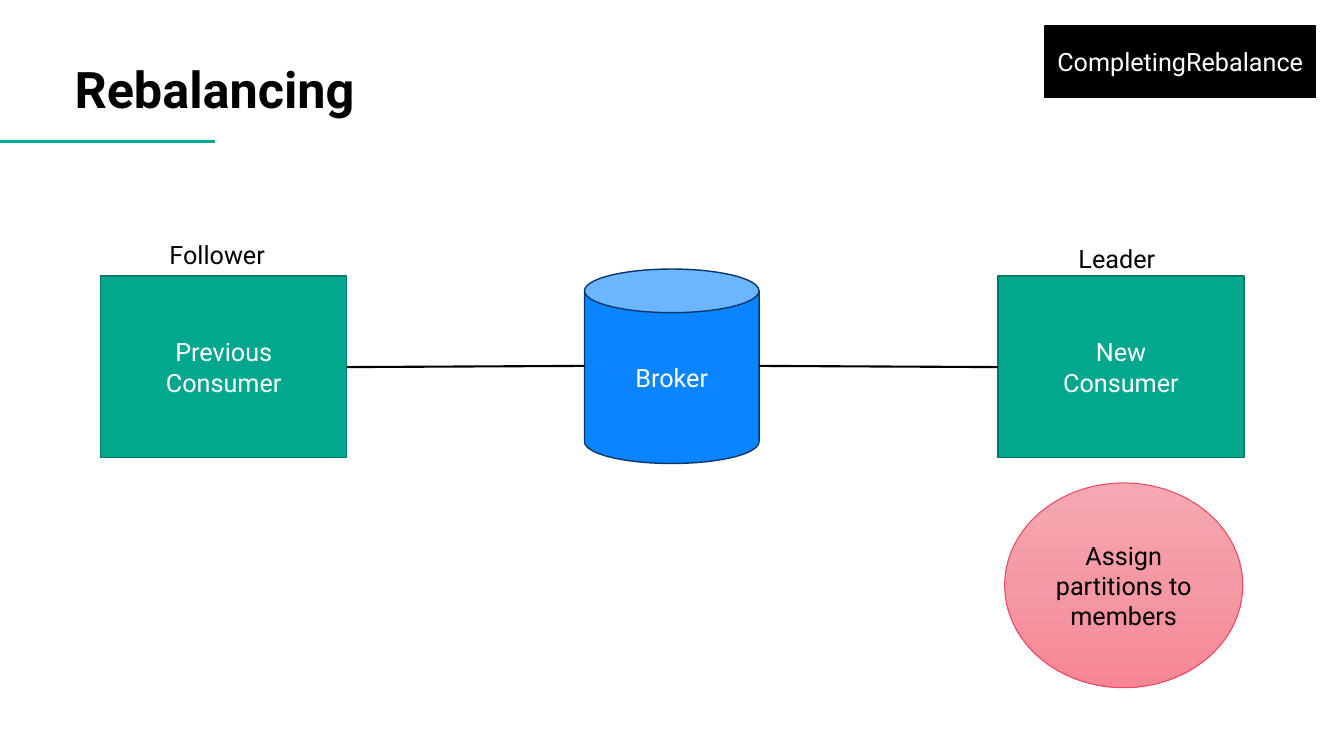
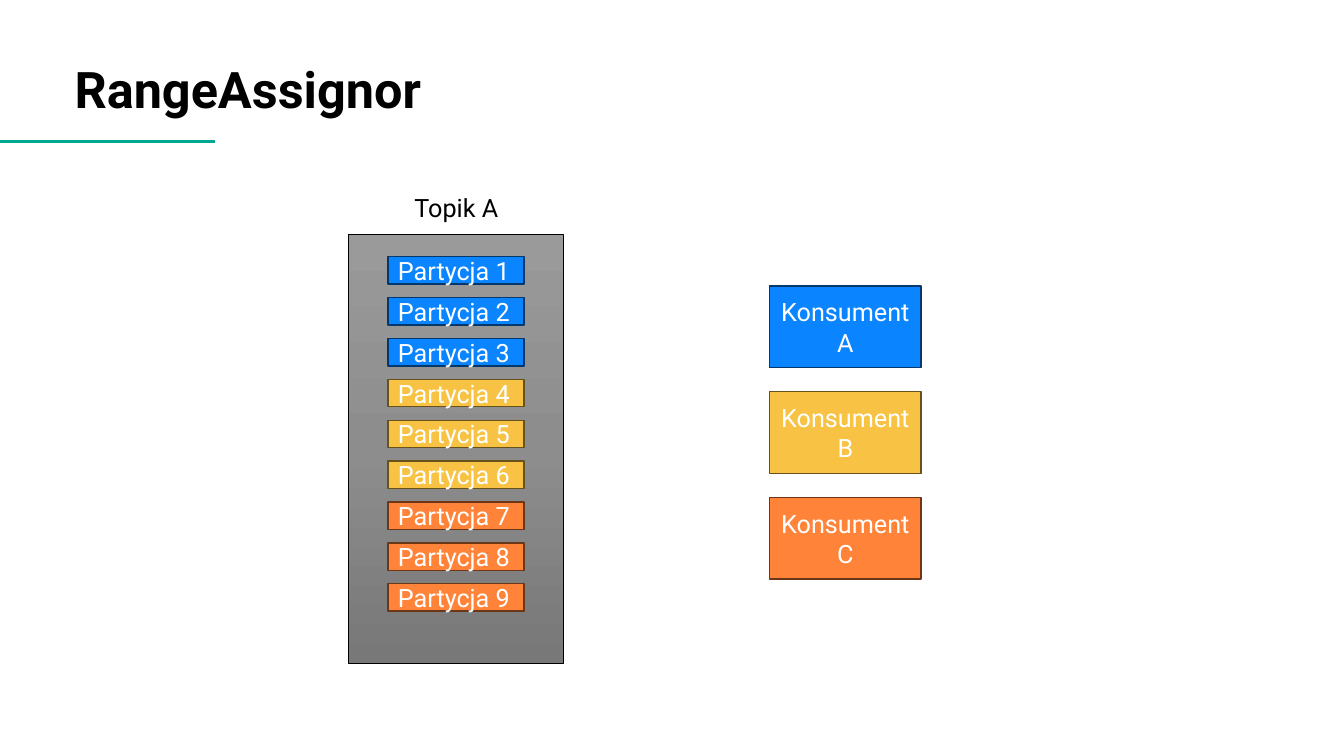
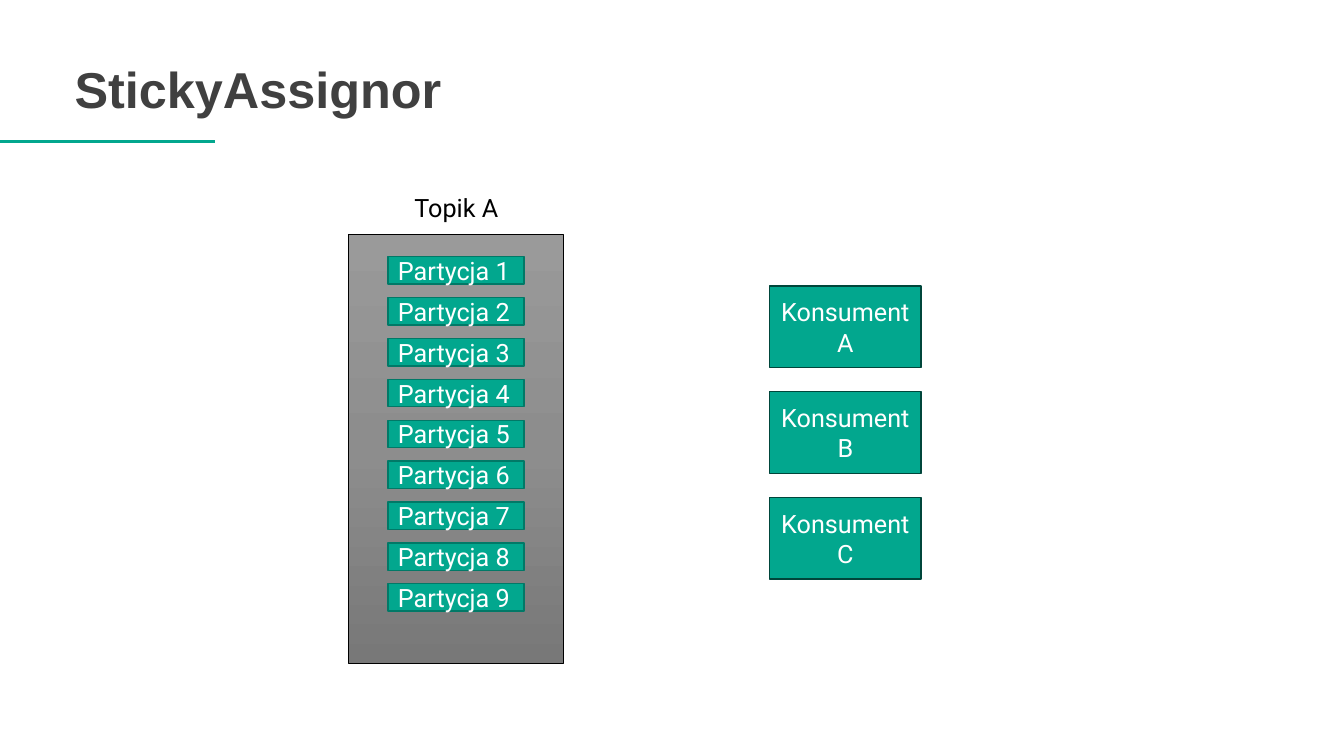
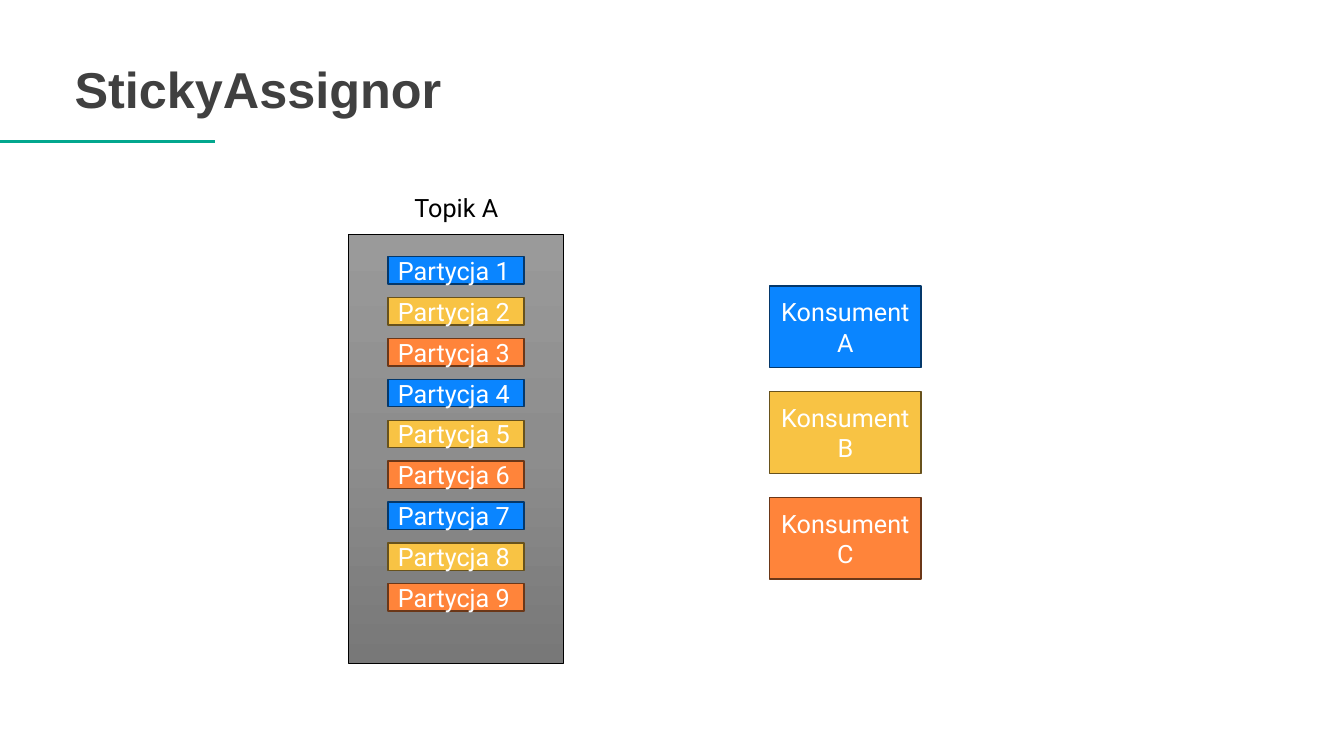
from dataclasses import dataclass

from lxml import etree
from pptx import Presentation
from pptx import util as u
from pptx.dml.color import RGBColor
from pptx.enum import shapes, text
from pptx.oxml.ns import qn

Shape = shapes.MSO_SHAPE
Align = text.PP_ALIGN
Anchor = text.MSO_ANCHOR


@dataclass(frozen=True)
class Theme:
    font: str = "Roboto"
    alt_font: str = "Arial"
    title_size: int = 36
    body_size: int = 18
    black: str = "000000"
    white: str = "FFFFFF"
    dark_gray: str = "404040"
    accent: str = "02A78E"
    green: tuple = ("02A78E", "017967")
    deep_green: tuple = ("02A78E", "00463B")
    blue: tuple = ("0A85FF", "04386B")
    yellow: tuple = ("F8C344", "68521C")
    orange: tuple = ("FF843A", "6B3718")
    solid_black: tuple = ("000000", "000000")
    gray_fade: tuple = (("9A9A9A", "8D8D8D", "787878"), "000000")
    pink_fade: tuple = (("F6A8B2", "F499A4", "F78695"), "ED4563")


class Deck:
    def __init__(self, theme):
        self.theme = theme
        self.prs = Presentation()
        self.prs.slide_width = u.Cm(33.87)
        self.prs.slide_height = u.Cm(19.05)
        self.slide = None

    def new_slide(self, title, font=None, color=None):
        th = self.theme
        self.slide = self.prs.slides.add_slide(self.prs.slide_layouts[5])
        sp = self.slide.shapes.title
        sp.left, sp.top, sp.width, sp.height = (u.Cm(v) for v in (1.88, 0, 30.07, 3.12))
        self.set_text(sp.text_frame, [title], color or th.black, Align.LEFT, Anchor.BOTTOM,
                      margin=0, size=th.title_size, font=font, bold=True)
        self.line((0, 3.56), (5.41, 3.56), th.accent, 2)

    def set_text(self, tf, lines, color, align, anchor, margin, size=None, font=None, bold=False):
        tf.word_wrap = True
        tf.auto_size = text.MSO_AUTO_SIZE.NONE
        tf.vertical_anchor = anchor
        tf.margin_left = tf.margin_right = u.Cm(margin)
        tf.margin_top = tf.margin_bottom = u.Cm(0.13)
        for i, line in enumerate(lines):
            p = tf.add_paragraph() if i else tf.paragraphs[0]
            p.alignment = align
            r = p.add_run()
            r.text = line
            r.font.name = font or self.theme.font
            r.font.size = u.Pt(size or self.theme.body_size)
            r.font.bold = bold
            r.font.color.rgb = RGBColor.from_string(color)

    def line(self, start, end, color, width):
        cx = self.slide.shapes.add_connector(
            shapes.MSO_CONNECTOR.STRAIGHT, *(u.Cm(v) for v in start + end))
        cx.line.color.rgb = RGBColor.from_string(color)
        cx.line.width = u.Pt(width)
        etree.SubElement(cx._element.spPr, qn("a:effectLst"))

    def fade(self, sp, colors):
        sp.fill.gradient()
        sp.fill.gradient_angle = 270
        stops = sp._element.spPr.find(qn("a:gradFill")).find(qn("a:gsLst"))
        for stop in list(stops):
            stops.remove(stop)
        for i, color in enumerate(colors):
            stop = etree.SubElement(stops, qn("a:gs"), pos=str(i * 50000))
            etree.SubElement(stop, qn("a:srgbClr"), val=color)

    def shape(self, kind, box, style, lines=(), color=None, align=Align.CENTER, width=1):
        sp = self.slide.shapes.add_shape(kind, *(u.Cm(v) for v in box))
        sp.shadow.inherit = False
        fill, outline = style
        if isinstance(fill, tuple):
            self.fade(sp, fill)
        else:
            sp.fill.solid()
            sp.fill.fore_color.rgb = RGBColor.from_string(fill)
        sp.line.color.rgb = RGBColor.from_string(outline)
        sp.line.width = u.Pt(width)
        if lines:
            self.set_text(sp.text_frame, lines, color or self.theme.white, align,
                          Anchor.MIDDLE, margin=0.25)

    def label(self, box, caption, align=Align.LEFT):
        tb = self.slide.shapes.add_textbox(*(u.Cm(v) for v in box))
        self.set_text(tb.text_frame, [caption], self.theme.black, align, Anchor.TOP, margin=0)

    def assignment(self, partition_styles, consumer_styles):
        self.shape(Shape.RECTANGLE, (8.79, 5.92, 5.41, 10.8), self.theme.gray_fade, width=0.75)
        for i, style in enumerate(partition_styles):
            self.shape(Shape.RECTANGLE, (9.78, 6.47 + i * 1.03, 3.43, 0.69), style,
                       [f"Partycja {i + 1}"], align=Align.LEFT)
        self.label((9.3, 4.72, 4.4, 2.77), "Topik A", Align.CENTER)
        for i, (name, style) in enumerate(zip("ABC", consumer_styles)):
            self.shape(Shape.RECTANGLE, (19.4, 7.21 + i * 2.66, 3.81, 2.06), style,
                       [f"Konsument {name}"])


def rebalancing(deck):
    th = deck.theme
    deck.new_slide("Rebalancing")
    deck.shape(Shape.CAN, (14.73, 6.78, 4.4, 4.9), th.blue, ["Broker"])
    for left, name in ((2.54, "Previous"), (25.15, "New")):
        deck.shape(Shape.RECTANGLE, (left, 6.96, 6.2, 4.57), th.green, [name, "Consumer"])
    for start, end in (((25.15, 9.25), (19.13, 9.22)), ((14.73, 9.22), (8.74, 9.25))):
        deck.line(start, end, th.black, 1.5)
    deck.label((27.18, 5.99, 4.6, 1.8), "Leader")
    deck.label((4.27, 5.89, 4.6, 1.8), "Follower")
    deck.shape(Shape.OVAL, (25.32, 12.17, 6, 5.16), th.pink_fade,
               ["Assign partitions to members"], color=th.black, width=0.75)
    deck.shape(Shape.RECTANGLE, (26.34, 0.66, 6.81, 1.8), th.solid_black,
               ["CompletingRebalance"])


def main():
    th = Theme()
    deck = Deck(th)
    owners = [th.blue, th.yellow, th.orange]

    rebalancing(deck)

    deck.new_slide("RangeAssignor")
    deck.assignment([style for style in owners for _ in range(3)], owners)

    for partition_styles, consumer_styles in (
        ([th.green] * 9, [th.deep_green] * 3),
        (owners * 3, owners),
    ):
        deck.new_slide("StickyAssignor", th.alt_font, th.dark_gray)
        deck.assignment(partition_styles, consumer_styles)

    deck.prs.save("out.pptx")


if __name__ == "__main__":
    main()
